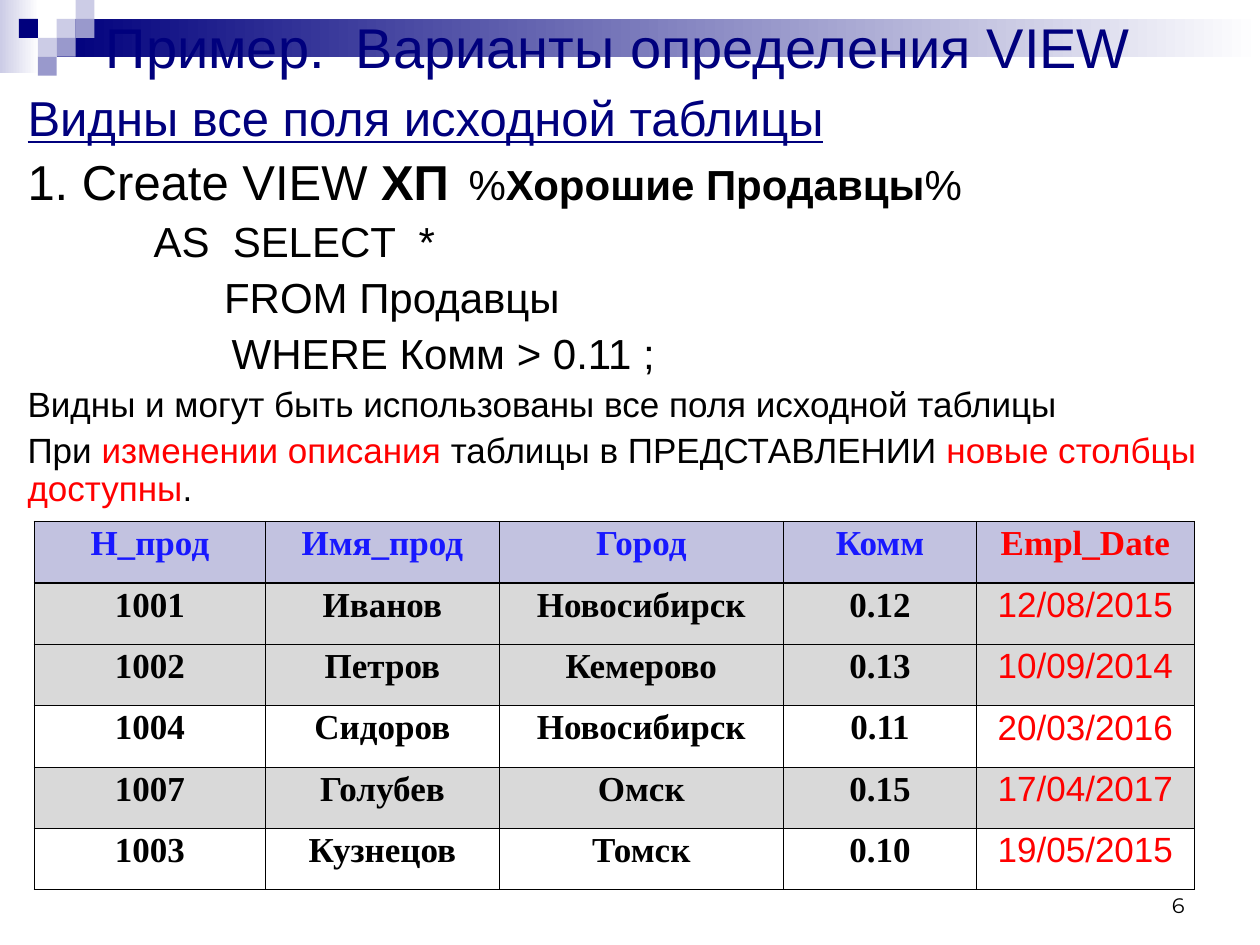
from lxml.etree import SubElement
from pptx import Presentation
from pptx.dml.color import RGBColor
from pptx.enum.shapes import MSO_SHAPE as Shape
from pptx.enum.text import MSO_ANCHOR as Anchor, PP_ALIGN as Align
from pptx.oxml.ns import qn
from pptx.util import Inches, Pt

COLORS = {
    "navy": "00007D", "mid": "9999CC", "light": "CCCCE6", "white": "FFFFFF",
    "black": "000000", "red": "FF0000", "blue": "1818FF",
    "header": "C2C2E0", "gray": "D9D9D9",
}


def rgb(name):
    return RGBColor.from_string(COLORS[name])


class SlideBuilder:
    def __init__(self, page, font="Arial", table_font="Times New Roman"):
        self.page = page
        self.font = font
        self.table_font = table_font

    def style(self, font, size, color="black", bold=None, underline=None, name=None):
        font.name = name or self.font
        font.size = Pt(size)
        font.color.rgb = rgb(color)
        font.bold = bold
        font.underline = underline

    def rect(self, left, top, width, height, color, fade=False):
        shape = self.page.shapes.add_shape(
            Shape.RECTANGLE, Inches(left), Inches(top), Inches(width), Inches(height))
        shape.shadow.inherit = False
        shape.line.fill.background()
        if fade:
            shape.fill.gradient()
            shape.fill.gradient_angle = 0
            for stop, name in zip(shape.fill.gradient_stops, (color, "white")):
                stop.color.rgb = rgb(name)
        else:
            shape.fill.solid()
            shape.fill.fore_color.rgb = rgb(color)

    def frame(self, left, top, width, height, anchor=Anchor.TOP):
        box = self.page.shapes.add_textbox(
            Inches(left), Inches(top), Inches(width), Inches(height))
        box.text_frame.word_wrap = True
        box.text_frame.vertical_anchor = anchor
        return box.text_frame

    def line(self, left, top, width, height, text, anchor, align, **style):
        para = self.frame(left, top, width, height, anchor).paragraphs[0]
        para.text = text
        para.alignment = align
        self.style(para.font, **style)

    def body(self, left, top, width, height, lines):
        frame = self.frame(left, top, width, height)
        for index, (before, indent, tab, size, spans) in enumerate(lines):
            para = frame.add_paragraph() if index else frame.paragraphs[0]
            para.line_spacing = 0.9
            if index:
                para.space_before = Pt(before)
            props = para._p.get_or_add_pPr()
            props.set("marL", str(Inches(indent)))
            props.set("indent", "0")
            if tab:
                tabs = SubElement(props, qn("a:tabLst"))
                SubElement(tabs, qn("a:tab"), pos=str(Inches(tab)), algn="l")
            if len(spans) == 1:
                text, style = spans[0]
                para.text = text
                self.style(para.font, **{"size": size, **style})
                continue
            for text, style in spans:
                span = para.add_run()
                span.text = text
                self.style(span.font, **{"size": size, **style})

    def borders(self, cell, widths):
        props = cell._tc.get_or_add_tcPr()
        for side, width in zip("LRTB", widths):
            edge = SubElement(props, qn(f"a:ln{side}"), w=str(Pt(width)))
            fill = SubElement(edge, qn("a:solidFill"))
            SubElement(fill, qn("a:srgbClr"), val=COLORS["black"])

    def table(self, left, top, widths, height, rows, fills):
        grid = self.page.shapes.add_table(
            len(rows), len(widths), Inches(left), Inches(top),
            Inches(sum(widths)), Inches(height)).table
        grid.first_row = grid.horz_banding = False
        for column, width in zip(grid.columns, widths):
            column.width = Inches(width)
        for row_index, (row, fill) in enumerate(zip(rows, fills)):
            grid.rows[row_index].height = Inches(height / len(rows))
            for col_index, text in enumerate(row):
                cell = grid.cell(row_index, col_index)
                thick_top = 0.96 if row_index < 2 else 0.45
                thick_bottom = 0.96 if row_index == 0 else 0.45
                self.borders(cell, (0.45, 0.45, thick_top, thick_bottom))
                cell.fill.solid()
                cell.fill.fore_color.rgb = rgb(fill)
                para = cell.text_frame.paragraphs[0]
                para.text = text
                para.alignment = Align.CENTER
                para.line_spacing = 0.9
                is_header = row_index == 0
                is_date = col_index == len(widths) - 1
                plain = is_date and not is_header
                color = "red" if is_date else "blue" if is_header else "black"
                self.style(para.font, 20, color, bold=not plain,
                           name=self.font if plain else self.table_font)


SQUARE = 0.15
SQUARES = [
    (3, 1, "light"), (4, 0, "light"), (4, 1, "mid"), (2, 2, "light"),
    (1, 1, "navy"), (3, 2, "mid"), (2, 3, "mid"),
]
BOLD, RED = {"bold": True}, {"color": "red"}
LINES = [
    (0, 0, None, 28, [("Видны все поля исходной таблицы",
                       {"color": "navy", "underline": True})]),
    (6, 0, 5, 24, [("1. Create VIEW ", {"size": 28}),
                   ("ХП", {"size": 28, "bold": True}),
                   ("\t%", {}), ("Хорошие Продавцы", BOLD), ("%", {})]),
    (6, 1, None, 24, [("AS  SELECT  *", {})]),
    (6, 1.56, None, 24, [("FROM Продавцы", {})]),
    (6, 1.62, None, 24, [("WHERE Комм > 0.11 ;", {})]),
    (5, 0, None, 20, [("Видны и могут быть использованы все поля исходной таблицы", {})]),
    (5, 0, None, 20, [("При ", {}), ("изменении описания ", RED),
                      ("таблицы в ПРЕДСТАВЛЕНИИ ", {}),
                      ("новые столбцы доступны", RED), (".", {})]),
]
SELLERS = [
    ("Н_прод", "Имя_прод", "Город", "Комм", "Empl_Date"),
    ("1001", "Иванов", "Новосибирск", "0.12", "12/08/2015"),
    ("1002", "Петров", "Кемерово", "0.13", "10/09/2014"),
    ("1004", "Сидоров", "Новосибирск", "0.11", "20/03/2016"),
    ("1007", "Голубев", "Омск", "0.15", "17/04/2017"),
    ("1003", "Кузнецов", "Томск", "0.10", "19/05/2015"),
]
ROW_FILLS = ["header", "gray", "gray", "white", "gray", "white"]


def main():
    deck = Presentation()
    deck.slide_width, deck.slide_height = Inches(10), Inches(7.5)
    builder = SlideBuilder(deck.slides.add_slide(deck.slide_layouts[6]))
    builder.rect(0, 0, 0.31, 0.58, "light", fade=True)
    builder.rect(0.45, 0.15, 9.55, 0.3, "navy", fade=True)
    for column, row, color in SQUARES:
        builder.rect(column * SQUARE, row * SQUARE, SQUARE, SQUARE, color)
    builder.line(0.41, 0, 9, 0.73, "Пример.  Варианты определения VIEW",
                 Anchor.MIDDLE, Align.CENTER, size=32, color="navy")
    builder.body(0.12, 0.7, 9.88, 3.59, LINES)
    builder.line(7.17, 6.83, 2.33, 0.5, "6", Anchor.BOTTOM, Align.RIGHT,
                 size=12, name="Montserrat")
    builder.table(0.27, 4.14, [1.84, 1.85, 2.26, 1.53, 1.73], 2.92, SELLERS, ROW_FILLS)
    deck.save("out.pptx")


if __name__ == "__main__":
    main()
